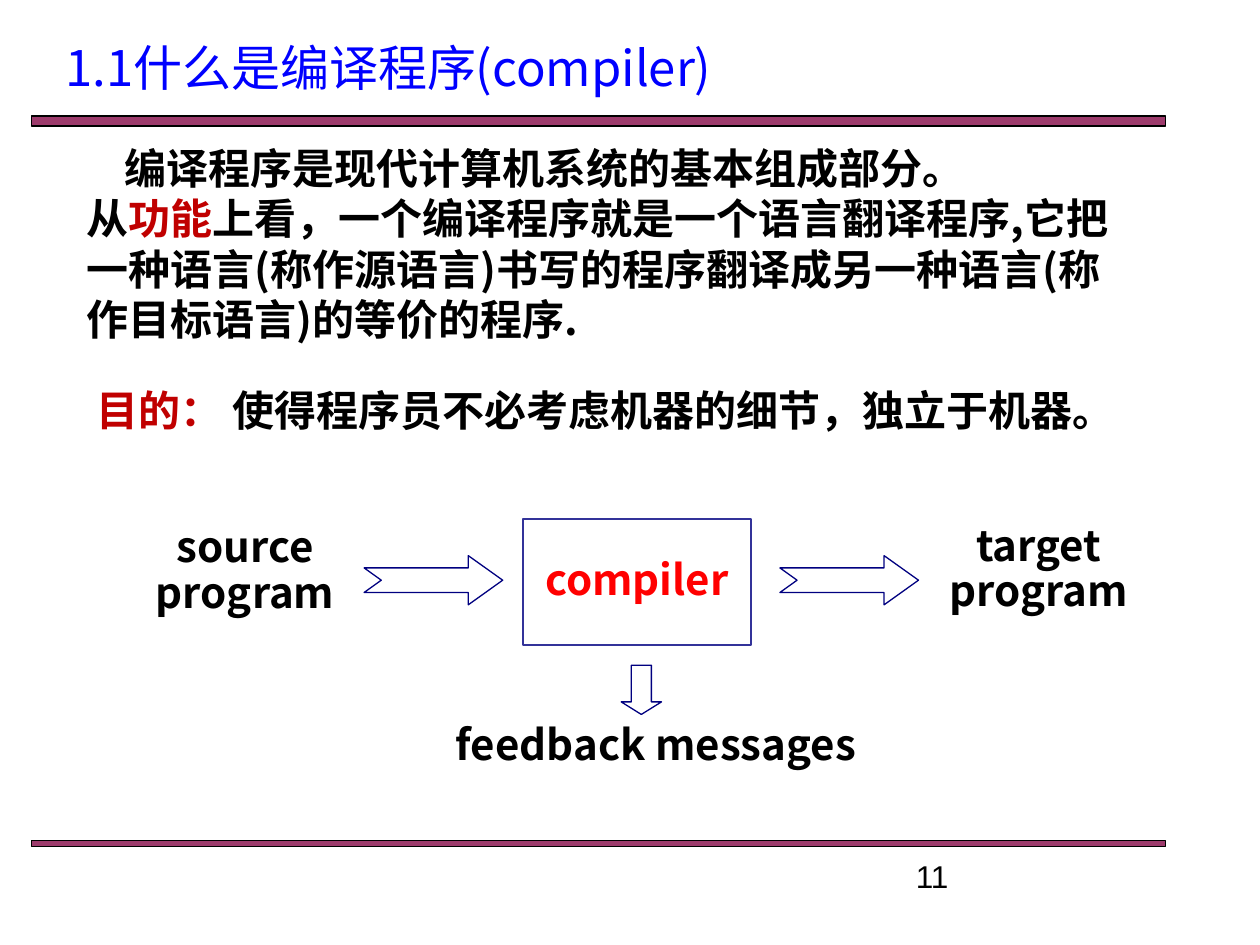
from dataclasses import dataclass

from lxml.etree import SubElement
from pptx import Presentation
from pptx.dml.color import RGBColor
from pptx.enum.shapes import MSO_SHAPE
from pptx.enum.text import MSO_ANCHOR, PP_ALIGN
from pptx.oxml.ns import qn
from pptx.util import Inches, Pt


@dataclass(frozen=True)
class Theme:
    font: str = "Noto Sans CJK SC"
    number_font: str = "Arial"
    title_size: int = 28
    body_size: int = 24
    number_size: int = 18
    black: str = "000000"
    white: str = "FFFFFF"
    blue: str = "0000FF"
    red: str = "FF0000"
    accent: str = "C00000"
    bar: str = "993366"
    box_line: str = "333399"
    arrow_line: str = "000080"


THEME = Theme()
W, H = 10, 7.5


def place(left, top, width, height):
    return [Inches(v) for v in (left, top, width, height)]


def format_run(r, color, size=THEME.body_size, bold=True, font=THEME.font):
    r.font.name = font
    r.font.size = Pt(size)
    r.font.bold = bold
    r.font.color.rgb = RGBColor.from_string(color)
    SubElement(r.font._element, qn("a:ea")).set("typeface", font)


def add_text(s, box, paragraphs, **style):
    tf = s.shapes.add_textbox(*place(*box)).text_frame
    tf.word_wrap = True
    for i, runs in enumerate(paragraphs):
        p = tf.add_paragraph() if i else tf.paragraphs[0]
        for text, color in runs:
            r = p.add_run()
            r.text = text
            format_run(r, color, **style)
    return tf


def center(p):
    p.alignment = PP_ALIGN.CENTER
    p.line_spacing = 0.9


def add_label(s, box, text):
    center(add_text(s, box, [[(text, THEME.black)]]).paragraphs[0])


def add_figure(s, kind, box, fill, line, adjustments=()):
    sp = s.shapes.add_shape(kind, *place(*box))
    sp.shadow.inherit = False
    sp.fill.solid()
    sp.fill.fore_color.rgb = RGBColor.from_string(fill)
    sp.line.color.rgb = RGBColor.from_string(line)
    sp.line.width = Pt(0.75)
    for i, value in enumerate(adjustments):
        sp.adjustments[i] = value
    return sp


def add_bar(s, top, height):
    sp = add_figure(s, MSO_SHAPE.RECTANGLE, (0.25, top, 0.9 * W, height), THEME.bar, THEME.black)
    color = sp._element.spPr.find(qn("a:solidFill"))[0]
    SubElement(color, qn("a:alpha")).set("val", "96000")


def add_title(s, text):
    title = s.shapes.title
    title.left, title.top, title.width, title.height = place(0.42, 0.25, 0.9 * W, 0.83)
    tf = title.text_frame
    tf.text = text
    tf.vertical_anchor = MSO_ANCHOR.TOP
    p = tf.paragraphs[0]
    p.alignment = PP_ALIGN.LEFT
    format_run(p.runs[0], THEME.blue, THEME.title_size, False)


def add_body(s):
    tf = add_text(s, (0.59, 1.08, 8.51, 1.72), [
        [("编译程序是现代计算机系统的基本组成部分。", THEME.black)],
        [("从", THEME.black), ("功能", THEME.accent),
         ("上看，一个编译程序就是一个语言翻译程序,它把一种语言(称作源语言)书写的程序"
          "翻译成另一种语言(称作目标语言)的等价的程序.", THEME.black)],
    ])
    tf.paragraphs[0]._p.get_or_add_pPr().set("indent", str(Inches(0.3)))
    add_text(s, (0.67, 0.4 * H, 8.42, 0.5), [
        [("目的：", THEME.accent), (" 使得程序员不必考虑机器的细节，独立于机器。", THEME.black)],
    ])


def add_compiler_flow(s):
    sp = add_figure(s, MSO_SHAPE.RECTANGLE, (4.15, 4.12, 1.81, 1), THEME.white, THEME.box_line)
    tf = sp.text_frame
    tf.text = "compiler"
    tf.word_wrap = False
    tf.vertical_anchor = MSO_ANCHOR.MIDDLE
    center(tf.paragraphs[0])
    format_run(tf.paragraphs[0].runs[0], THEME.red)
    for left in (2.89, 6.19):
        add_figure(s, MSO_SHAPE.NOTCHED_RIGHT_ARROW, (left, 4.41, 1.1, 0.39),
                   THEME.white, THEME.arrow_line, (0.5, 0.7))
    add_figure(s, MSO_SHAPE.DOWN_ARROW, (4.93, 5.28, 0.32, 0.39),
               THEME.white, THEME.arrow_line, (0.5, 0.31))
    add_label(s, (0.92, 4.13, 2.05, 0.83), "source program")
    add_label(s, (7.22, 4.12, 2.05, 0.83), "target program")
    add_label(s, (3.12, 5.7, 4.17, 0.46), "feedback messages")


def main():
    prs = Presentation()
    prs.slide_width, prs.slide_height = Inches(W), Inches(H)
    s = prs.slides.add_slide(prs.slide_layouts[5])
    add_bar(s, 0.92, 0.08)
    add_bar(s, 6.67, 0.05)
    add_title(s, "1.1什么是编译程序(compiler)")
    add_body(s)
    add_compiler_flow(s)
    add_text(s, (7.17, 0.9 * H, 2.33, 0.42), [[("11", THEME.black)]],
             size=THEME.number_size, bold=False, font=THEME.number_font)
    prs.save("out.pptx")


if __name__ == "__main__":
    main()
